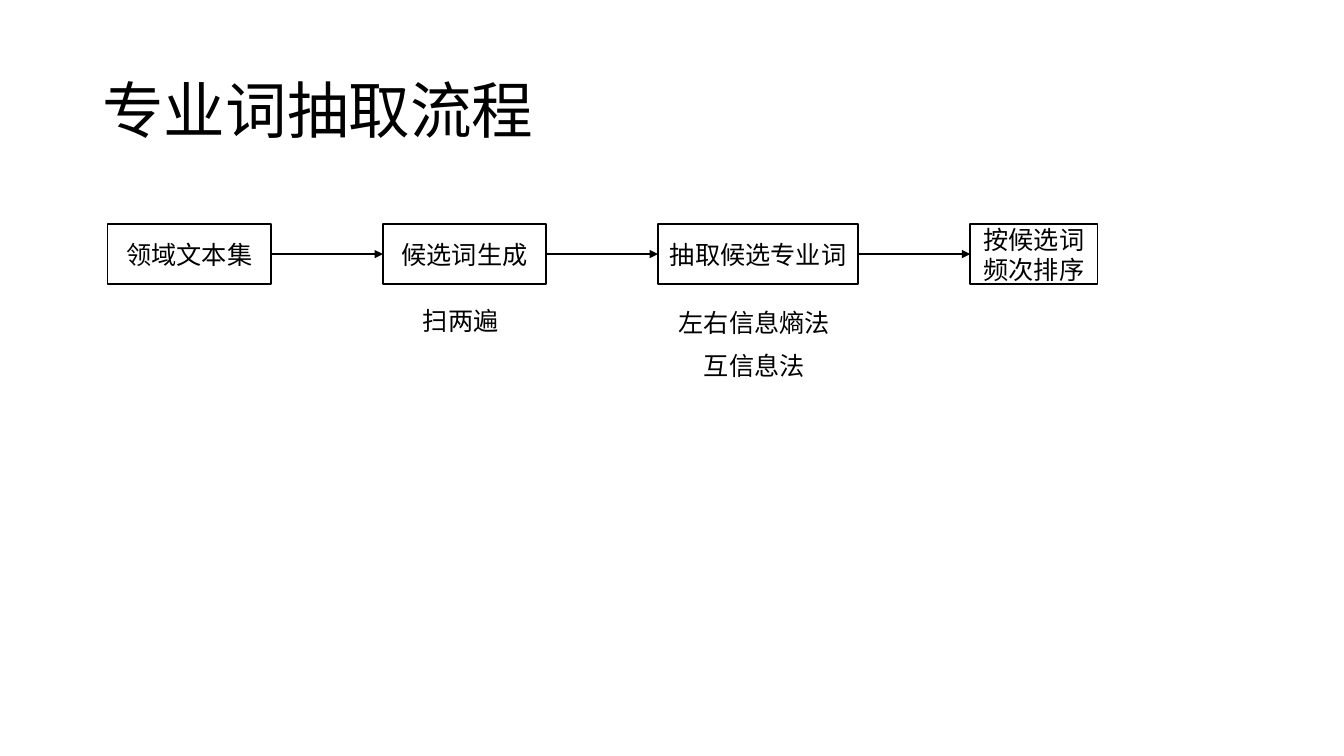
from dataclasses import dataclass

from lxml import etree
from pptx import Presentation
from pptx import util as u
from pptx.dml.color import RGBColor
from pptx.enum import shapes, text
from pptx.oxml import ns

FONT = "Noto Sans CJK SC"
BLACK, WHITE = "000000", "FFFFFF"
FLOW_LEFT, FLOW_TOP, STEP_HEIGHT, GAP = 77, 160, 43, 80


@dataclass
class Note:
    wording: str
    top: float


@dataclass
class Step:
    wording: str
    width: float
    notes: tuple[Note, ...] = ()


STEPS = [
    Step("领域文本集", 116.5),
    Step("候选词生成", 116.5, (Note("扫两遍", 214.5),)),
    Step("抽取候选专业词", 143, (Note("左右信息熵法", 216), Note("互信息法", 247))),
    Step("按候选词频次排序", 91),
]


def colour(value: str) -> RGBColor:
    return RGBColor.from_string(value)


def write(shape, wording: str, size: float, align, anchor):
    """Put one styled paragraph into a shape and return it."""
    frame = shape.text_frame
    frame.word_wrap = True
    frame.vertical_anchor = anchor
    paragraph = frame.paragraphs[0]
    paragraph.text = wording
    paragraph.alignment = align
    paragraph.font.size = u.Pt(size)
    paragraph.font.color.rgb = colour(BLACK)
    paragraph.font.name = FONT
    # East Asian typeface
    latin = paragraph._p.find(".//" + ns.qn("a:latin"))
    east_asian = etree.Element(ns.qn("a:ea"), typeface=FONT)
    latin.addnext(east_asian)
    return paragraph


def add_title(slide, wording: str) -> None:
    title = slide.shapes.add_textbox(u.Pt(66), u.Pt(29), u.Pt(828), u.Pt(104))
    heading = write(title, wording, 44, text.PP_ALIGN.LEFT, text.MSO_ANCHOR.MIDDLE)
    heading.line_spacing = 0.9


def add_step(slide, step: Step, left: float):
    box = slide.shapes.add_shape(
        shapes.MSO_SHAPE.RECTANGLE,
        u.Pt(left), u.Pt(FLOW_TOP), u.Pt(step.width), u.Pt(STEP_HEIGHT))
    box.shadow.inherit = False
    box.fill.solid()
    box.fill.fore_color.rgb = colour(WHITE)
    box.line.color.rgb = colour(BLACK)
    box.line.width = u.Pt(1)
    write(box, step.wording, 18, text.PP_ALIGN.CENTER, text.MSO_ANCHOR.MIDDLE)
    return box


def add_note(slide, note: Note, centre: float) -> None:
    width = 18 * len(note.wording) + 19.5
    label = slide.shapes.add_textbox(
        u.Pt(centre - width / 2), u.Pt(note.top), u.Pt(width), u.Pt(29))
    write(label, note.wording, 18, text.PP_ALIGN.LEFT, text.MSO_ANCHOR.TOP)
    label.text_frame.auto_size = text.MSO_AUTO_SIZE.SHAPE_TO_FIT_TEXT


def add_arrow(slide, source, target) -> None:
    arrow = slide.shapes.add_connector(shapes.MSO_CONNECTOR.STRAIGHT, 0, 0, 0, 0)
    arrow.begin_connect(source, 3)
    arrow.end_connect(target, 1)
    arrow.line.color.rgb = colour(BLACK)
    arrow.line.width = u.Pt(1.5)
    etree.SubElement(arrow.line._get_or_add_ln(), ns.qn("a:tailEnd"), type="triangle")
    etree.SubElement(arrow._element.spPr, ns.qn("a:effectLst"))


def main() -> None:
    deck = Presentation()
    deck.slide_width, deck.slide_height = u.Pt(960), u.Pt(540)
    slide = deck.slides.add_slide(deck.slide_layouts[6])

    add_title(slide, "专业词抽取流程")

    # Steps from left to right, each with its notes below
    boxes = []
    left = FLOW_LEFT
    for step in STEPS:
        boxes.append(add_step(slide, step, left))
        for note in step.notes:
            add_note(slide, note, left + step.width / 2)
        left += step.width + GAP

    # Arrows between neighbouring steps
    for source, target in zip(boxes, boxes[1:]):
        add_arrow(slide, source, target)

    deck.save("out.pptx")


if __name__ == "__main__":
    main()
